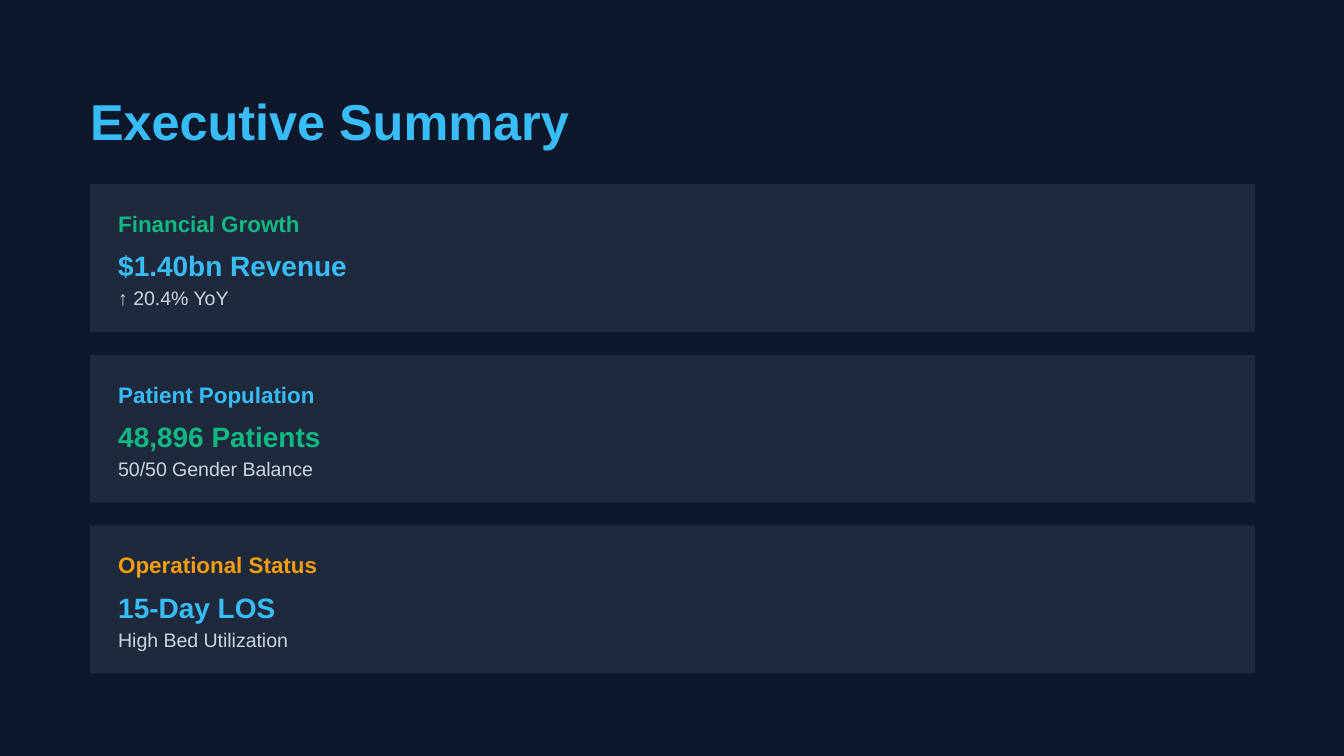
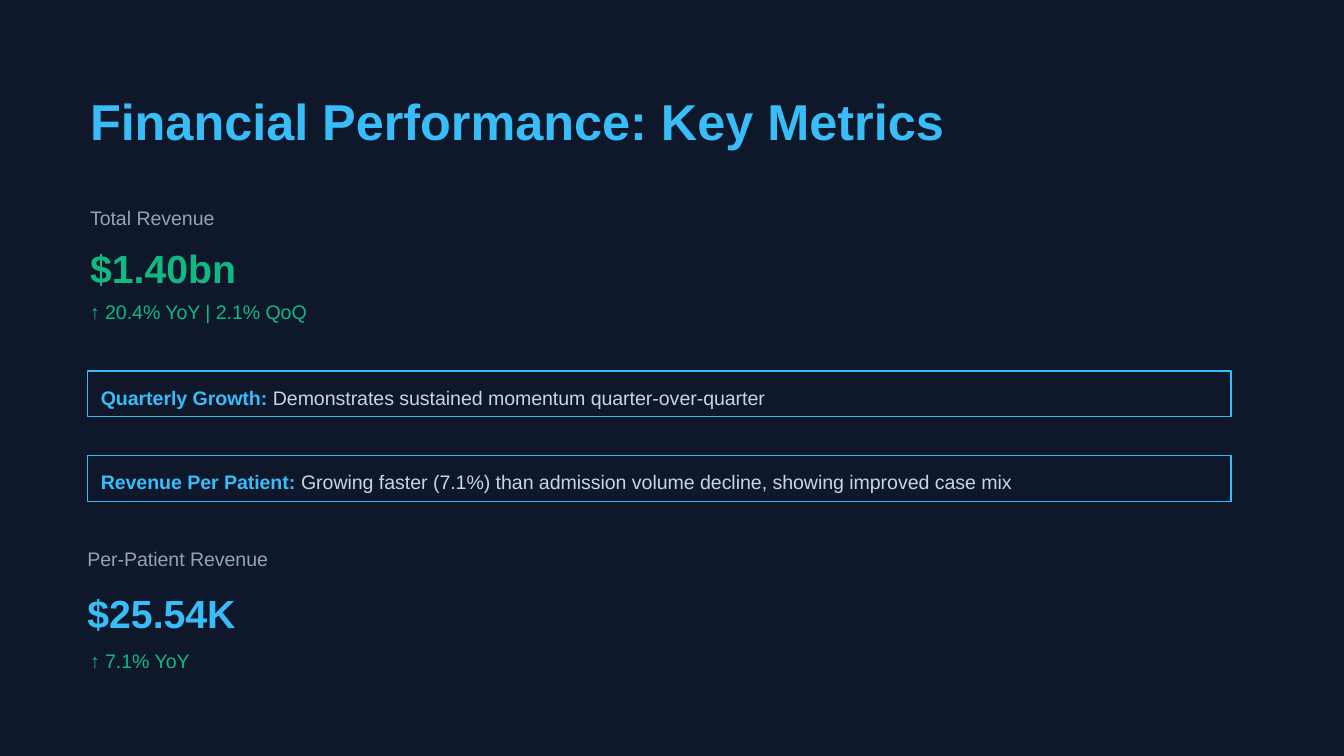
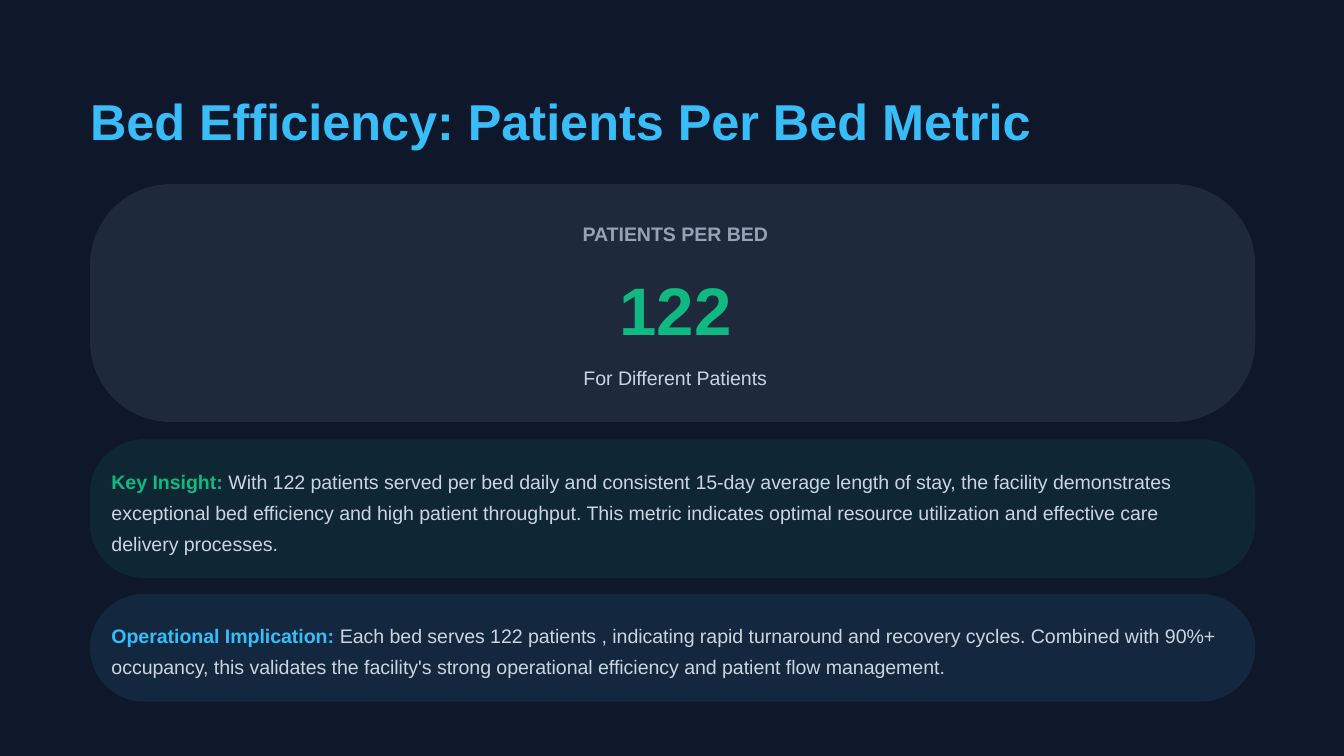
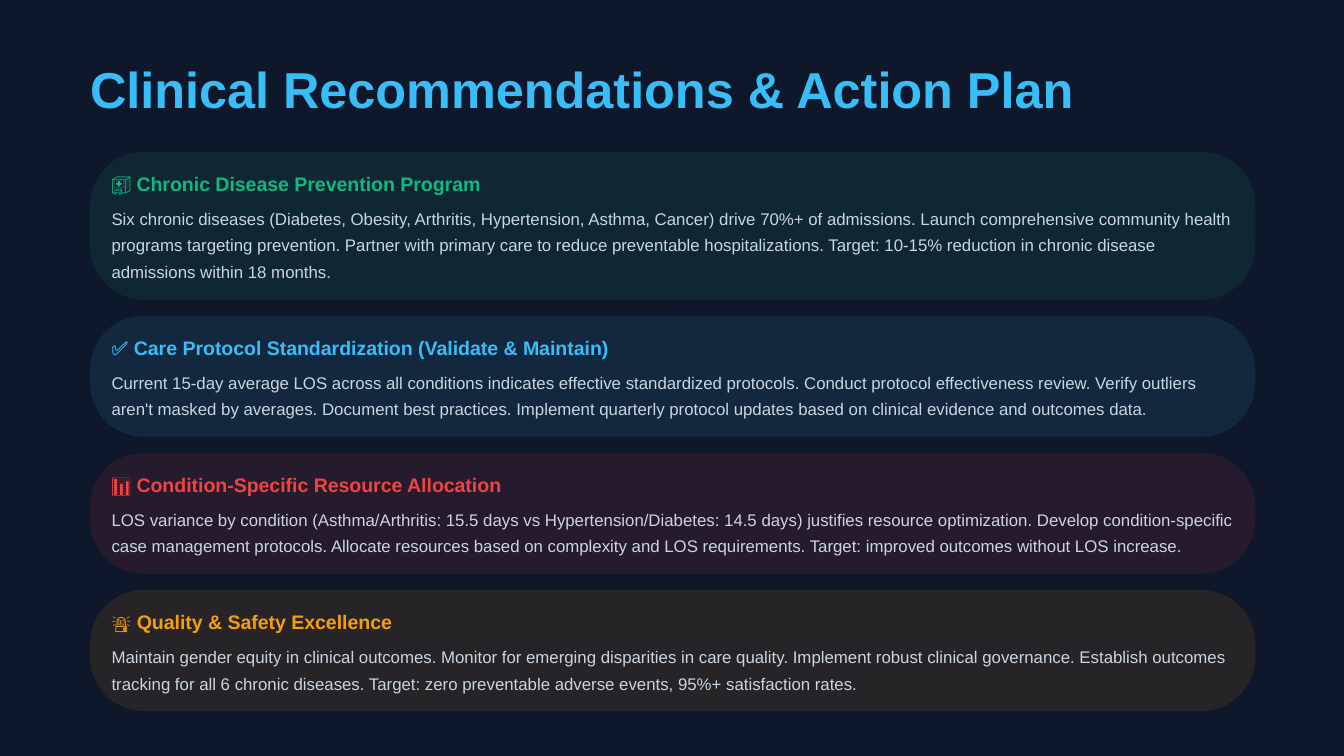
from lxml import etree
from pptx import Presentation
from pptx.dml.color import RGBColor
from pptx.enum.shapes import MSO_SHAPE
from pptx.enum.text import PP_ALIGN
from pptx.oxml.ns import qn
from pptx.util import Inches, Pt

RECT = MSO_SHAPE.RECTANGLE
ROUNDED = MSO_SHAPE.ROUNDED_RECTANGLE
LEFT, CENTER = PP_ALIGN.LEFT, PP_ALIGN.CENTER

NAVY, SLATE = "0F172A", "1E293B"
SKY, GREEN, AMBER, RED = "38BDF8", "10B981", "F59E0B", "EF4444"
PALE, GREY = "CBD5E1", "94A3B8"

FONT = "Arial"
SLIDE_WIDTH = 10
SLIDE_HEIGHT = SLIDE_WIDTH * 9 / 16
MARGIN = 0.67
CARD_WIDTH = 8.67
CARD_GAP = 0.12
TINT = 10  # percent opacity of coloured cards
RADIUS = 0.4


def rgb(hex_color):
    return RGBColor.from_string(hex_color)


def add_text(slide, text, left, top, width, height, size=10.5, color=PALE,
             bold=False, align=LEFT, leading=1.4, lead="", lead_color=SKY):
    """Place one paragraph; lead is a bold, coloured opening before the text."""
    box = slide.shapes.add_textbox(Inches(left), Inches(top), Inches(width), Inches(height))
    frame = box.text_frame
    frame.word_wrap = True
    frame.margin_left = frame.margin_right = frame.margin_top = frame.margin_bottom = 0
    paragraph = frame.paragraphs[0]
    paragraph.alignment = align
    paragraph.line_spacing = Pt(round(size * leading, 1))
    parts = [(lead, lead_color, True)] if lead else []
    for words, part_color, part_bold in parts + [(text, color, bold)]:
        run = paragraph.add_run()
        run.text = words
        run.font.name = FONT
        run.font.size = Pt(size)
        run.font.bold = part_bold
        run.font.color.rgb = rgb(part_color)


def add_panel(slide, left, top, width, height, fill=None, opacity=100, line=None, radius=0):
    panel = slide.shapes.add_shape(ROUNDED if radius else RECT, Inches(left), Inches(top),
                                   Inches(width), Inches(height))
    panel.shadow.inherit = False
    if radius:
        panel.adjustments[0] = min(0.5, radius / height)
    if fill:
        panel.fill.solid()
        panel.fill.fore_color.rgb = rgb(fill)
        if opacity < 100:
            fill_color = panel.element.spPr.find(qn("a:solidFill")).find(qn("a:srgbClr"))
            etree.SubElement(fill_color, qn("a:alpha"), val=str(opacity * 1000))
    else:
        panel.fill.background()
    if line:
        panel.line.color.rgb = rgb(line)
        panel.line.width = Pt(0.75)
    else:
        panel.line.fill.background()


def add_titled_slide(deck, title, top=0.67):
    slide = deck.slides.add_slide(deck.slide_layouts[6])
    slide.background.fill.solid()
    slide.background.fill.fore_color.rgb = rgb(NAVY)
    add_text(slide, title, MARGIN, top, 8.84, 0.45, size=27, color=SKY, bold=True, leading=1.2)
    return slide


def summary_card(slide, top, heading, heading_color, figure, figure_color, detail):
    add_panel(slide, MARGIN, top, CARD_WIDTH, 1.1, fill=SLATE)
    left, width = MARGIN + 0.21, CARD_WIDTH - 0.21
    add_text(slide, heading, left, top + 0.16, width, 0.23, size=12, color=heading_color, bold=True)
    add_text(slide, figure, left, top + 0.44, width, 0.29, size=15, color=figure_color, bold=True)
    add_text(slide, detail, left, top + 0.73, width, 0.2)


def executive_summary(deck):
    slide = add_titled_slide(deck, "Executive Summary")
    cards = [
        ("Financial Growth", GREEN, "$1.40bn Revenue", SKY, "↑ 20.4% YoY"),
        ("Patient Population", SKY, "48,896 Patients", GREEN, "50/50 Gender Balance"),
        ("Operational Status", AMBER, "15-Day LOS", SKY, "High Bed Utilization"),
    ]
    for index, card in enumerate(cards):
        summary_card(slide, 1.37 + index * 1.27, *card)


def metric(slide, left, top, label, value, value_color, change, value_drop, change_drop):
    width = 8.68
    add_text(slide, label, left, top, width, 0.2, color=GREY)
    add_text(slide, value, left, top + value_drop, width, 0.41, size=21, color=value_color, bold=True)
    add_text(slide, change, MARGIN, top + change_drop, width, 0.2, color=GREEN)


def outlined_note(slide, left, top, lead, text):
    add_panel(slide, left, top, 8.51, 0.34, line=SKY)
    add_text(slide, text, left + 0.1, top + 0.08, 8.68, 0.2, lead=lead)


def financial_performance(deck):
    slide = add_titled_slide(deck, "Financial Performance: Key Metrics")
    metric(slide, MARGIN, 1.5, "Total Revenue", "$1.40bn", GREEN,
           "↑ 20.4% YoY | 2.1% QoQ", 0.26, 0.7)
    outlined_note(slide, 0.65, 2.76, "Quarterly Growth:",
                  " Demonstrates sustained momentum quarter-over-quarter")
    outlined_note(slide, 0.65, 3.39, "Revenue Per Patient:",
                  " Growing faster (7.1%) than admission volume decline, showing improved case mix")
    metric(slide, 0.65, 4.04, "Per-Patient Revenue", "$25.54K", SKY, "↑ 7.1% YoY", 0.29, 0.76)


def headline_figure(slide, top, label, figure, detail):
    add_panel(slide, MARGIN, top, CARD_WIDTH, 1.77, fill=SLATE, radius=0.6)
    left, width = MARGIN + 0.21, 8.29
    add_text(slide, label, left, top + 0.25, width, 0.2, color=GREY, bold=True, align=CENTER)
    add_text(slide, figure, left, top + 0.53, width, 0.7, size=36, color=GREEN, bold=True, align=CENTER)
    add_text(slide, detail, left, top + 1.32, width, 0.2, align=CENTER)


def insight_card(slide, top, height, accent, lead, text):
    add_panel(slide, MARGIN, top, CARD_WIDTH, height, fill=accent, opacity=TINT, radius=RADIUS)
    text_height = height - 0.33
    add_text(slide, text, MARGIN + 0.16, top + (height - text_height) / 2, 8.33, text_height,
             leading=1.6, lead=lead, lead_color=accent)


def bed_efficiency(deck):
    slide = add_titled_slide(deck, "Bed Efficiency: Patients Per Bed Metric")
    headline_figure(slide, 1.37, "PATIENTS PER BED", "122", "For Different Patients")
    insights = [
        (1.03, GREEN, "Key Insight:",
         " With 122 patients served per bed daily and consistent 15-day average length of stay, "
         "the facility demonstrates exceptional bed efficiency and high patient throughput. "
         "This metric indicates optimal resource utilization and effective care delivery processes."),
        (0.8, SKY, "Operational Implication:",
         " Each bed serves 122 patients , indicating rapid turnaround and recovery cycles. "
         "Combined with 90%+ occupancy, this validates the facility's strong operational "
         "efficiency and patient flow management."),
    ]
    top = 3.27
    for height, accent, lead, text in insights:
        insight_card(slide, top, height, accent, lead, text)
        top += height + CARD_GAP


def recommendation_card(slide, top, height, accent, heading, text):
    add_panel(slide, MARGIN, top, CARD_WIDTH, height, fill=accent, opacity=TINT, radius=RADIUS)
    left = MARGIN + 0.16
    add_text(slide, heading, left, top + 0.12, 8.54, 0.2, color=accent, bold=True)
    add_text(slide, text, left, top + 0.37, 8.38, height - 0.5, size=9, leading=1.6)


def clinical_recommendations(deck):
    slide = add_titled_slide(deck, "Clinical Recommendations & Action Plan", top=0.43)
    recommendations = [
        (1.1, GREEN, "🏥 Chronic Disease Prevention Program",
         "Six chronic diseases (Diabetes, Obesity, Arthritis, Hypertension, Asthma, Cancer) drive "
         "70%+ of admissions. Launch comprehensive community health programs targeting prevention. "
         "Partner with primary care to reduce preventable hospitalizations. Target: 10-15% "
         "reduction in chronic disease admissions within 18 months."),
        (0.9, SKY, "✅ Care Protocol Standardization (Validate & Maintain)",
         "Current 15-day average LOS across all conditions indicates effective standardized "
         "protocols. Conduct protocol effectiveness review. Verify outliers aren't masked by "
         "averages. Document best practices. Implement quarterly protocol updates based on "
         "clinical evidence and outcomes data."),
        (0.9, RED, "📊 Condition-Specific Resource Allocation",
         "LOS variance by condition (Asthma/Arthritis: 15.5 days vs Hypertension/Diabetes: 14.5 "
         "days) justifies resource optimization. Develop condition-specific case management "
         "protocols. Allocate resources based on complexity and LOS requirements. Target: "
         "improved outcomes without LOS increase."),
        (0.9, AMBER, "🚨 Quality & Safety Excellence",
         "Maintain gender equity in clinical outcomes. Monitor for emerging disparities in care "
         "quality. Implement robust clinical governance. Establish outcomes tracking for all 6 "
         "chronic diseases. Target: zero preventable adverse events, 95%+ satisfaction rates."),
    ]
    top = 1.13
    for height, accent, heading, text in recommendations:
        recommendation_card(slide, top, height, accent, heading, text)
        top += height + CARD_GAP


def main():
    deck = Presentation()
    deck.slide_width, deck.slide_height = Inches(SLIDE_WIDTH), Inches(SLIDE_HEIGHT)
    executive_summary(deck)
    financial_performance(deck)
    bed_efficiency(deck)
    clinical_recommendations(deck)
    deck.save("out.pptx")


if __name__ == "__main__":
    main()
